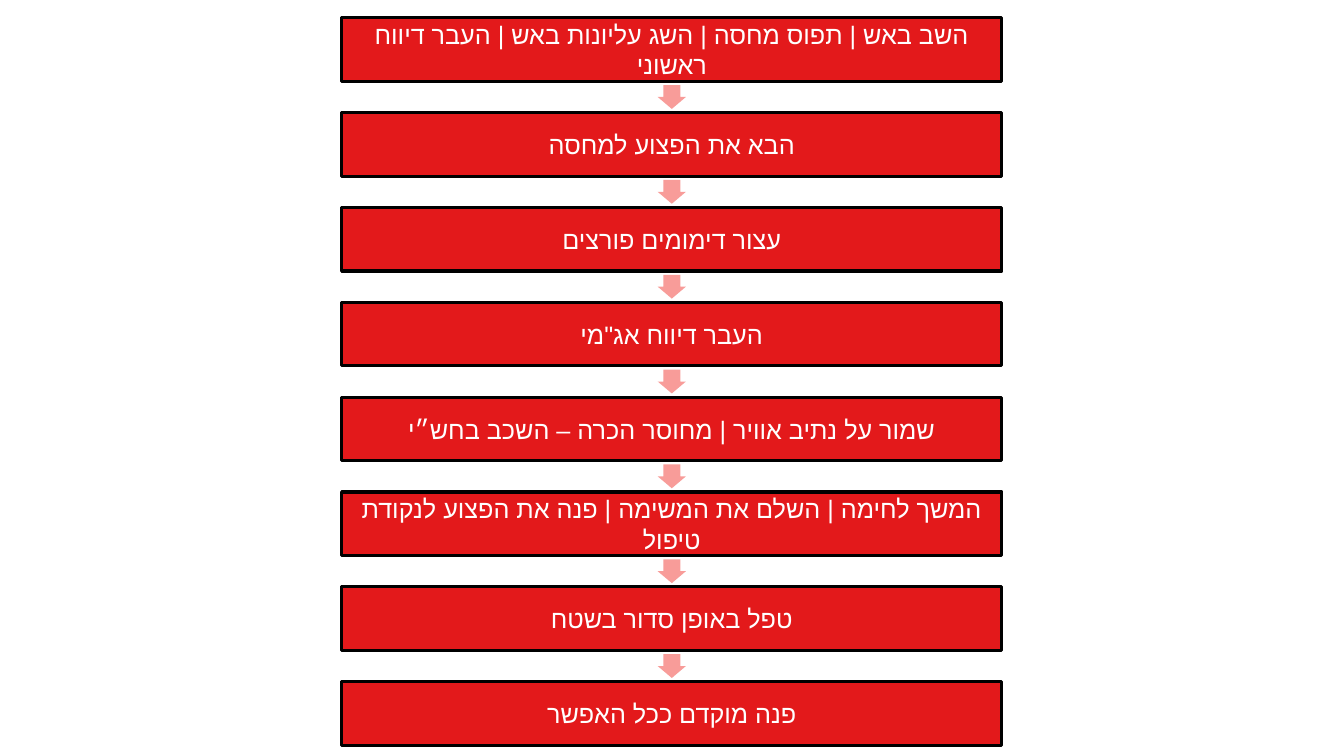
from dataclasses import dataclass

from lxml import etree
from pptx import Presentation
from pptx import util as u
from pptx.dml import color
from pptx.enum import shapes, text
from pptx.oxml import ns


@dataclass(frozen=True)
class Theme:
    box: str = "E3191B"
    edge: str = "000000"
    arrow: str = "F89C99"
    ink: str = "FFFFFF"
    font: str = "Arial"
    size: float = 18
    line: float = 2.25


THEME = Theme()
LEFT, TOP = 8.61, 0.45
WIDTH, HEIGHT = 16.64, 1.6
PITCH = 2.39
LONG, WIDE = 0.6, 0.71
INSET = 0.18

STEPS = [
    "השב באש | תפוס מחסה | השג עליונות באש | העבר דיווח ראשוני",
    "הבא את הפצוע למחסה",
    "עצור דימומים פורצים",
    'העבר דיווח אג"מי',
    "שמור על נתיב אוויר | מחוסר הכרה – השכב בחש״י",
    "המשך לחימה | השלם את המשימה | פנה את הפצוע לנקודת טיפול",
    "טפל באופן סדור בשטח",
    "פנה מוקדם ככל האפשר",
]


def add_solid(slide, kind, left, top, width, height, fill):
    shape = slide.shapes.add_shape(
        kind, u.Cm(left), u.Cm(top), u.Cm(width), u.Cm(height))
    shape.shadow.inherit = False
    shape.fill.solid()
    shape.fill.fore_color.rgb = color.RGBColor.from_string(fill)
    return shape


def add_words(shape, words):
    frame = shape.text_frame
    frame.word_wrap = True
    frame.vertical_anchor = text.MSO_ANCHOR.MIDDLE
    frame.margin_left = frame.margin_right = u.Cm(INSET)
    frame.margin_top = frame.margin_bottom = u.Cm(INSET)
    para = frame.paragraphs[0]
    para.alignment = text.PP_ALIGN.CENTER
    para._p.get_or_add_pPr().set("rtl", "1")
    run = para.add_run()
    run.text = words
    run.font.name = THEME.font
    run.font.size = u.Pt(THEME.size)
    run.font.color.rgb = color.RGBColor.from_string(THEME.ink)
    props = run._r.get_or_add_rPr()
    props.set("lang", "he-IL")
    etree.SubElement(props, ns.qn("a:cs"), typeface=THEME.font)


def add_step(slide, top, words):
    box = add_solid(slide, shapes.MSO_SHAPE.RECTANGLE,
                    LEFT, top, WIDTH, HEIGHT, THEME.box)
    box.line.color.rgb = color.RGBColor.from_string(THEME.edge)
    box.line.width = u.Pt(THEME.line)
    add_words(box, words)


def add_arrow(slide, middle):
    center = LEFT + WIDTH / 2
    arrow = add_solid(slide, shapes.MSO_SHAPE.RIGHT_ARROW,
                      center - LONG / 2, middle - WIDE / 2,
                      LONG, WIDE, THEME.arrow)
    arrow.line.fill.background()
    arrow.rotation = 90
    arrow.adjustments[0] = 0.6
    arrow.adjustments[1] = 0.5


def main():
    deck = Presentation()
    deck.slide_width = u.Cm(33.87)
    deck.slide_height = u.Cm(19.05)
    slide = deck.slides.add_slide(deck.slide_layouts[6])
    for index, words in enumerate(STEPS):
        top = TOP + index * PITCH
        if index:
            add_arrow(slide, top - (PITCH - HEIGHT) / 2)
        add_step(slide, top, words)
    deck.save("out.pptx")


if __name__ == "__main__":
    main()
